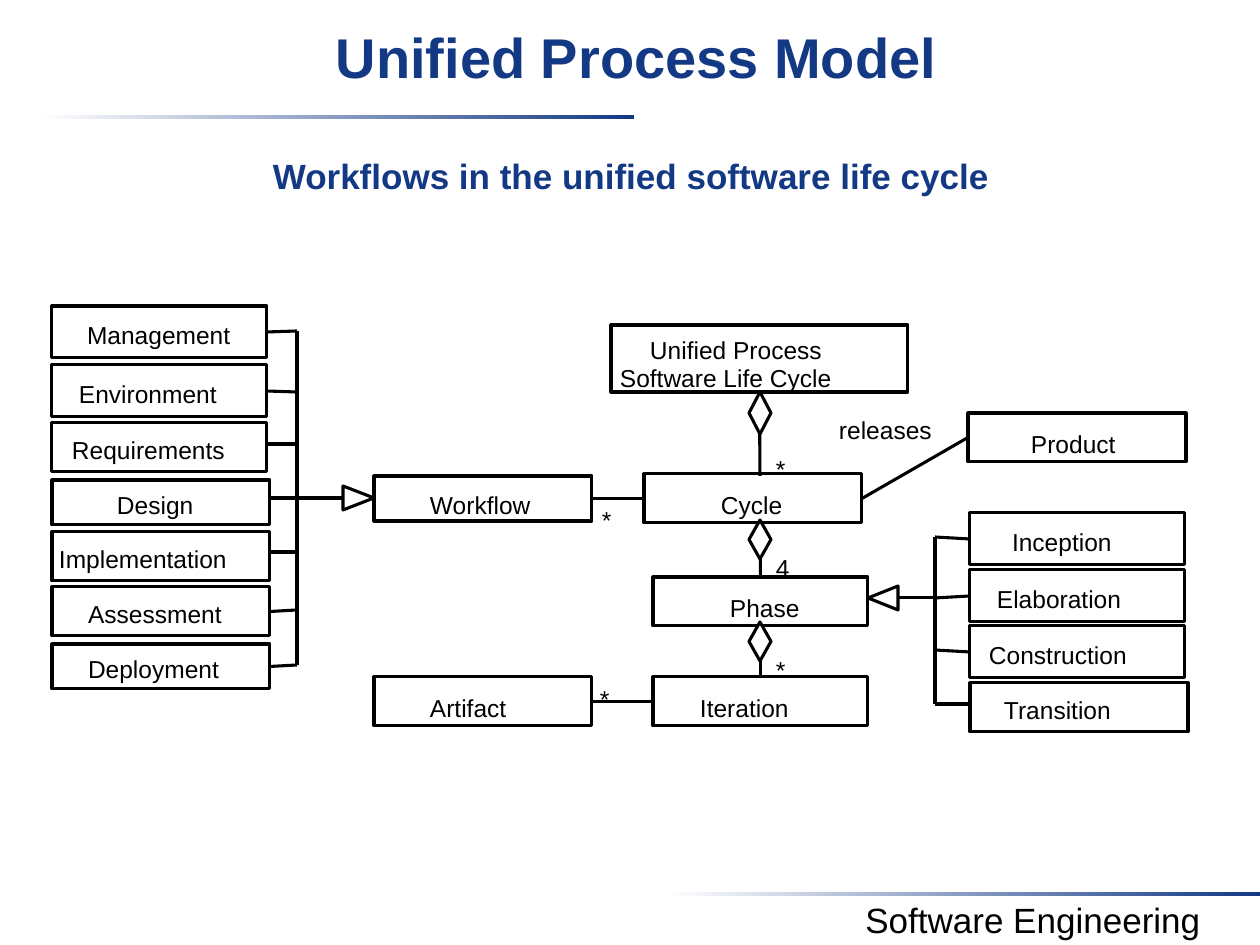
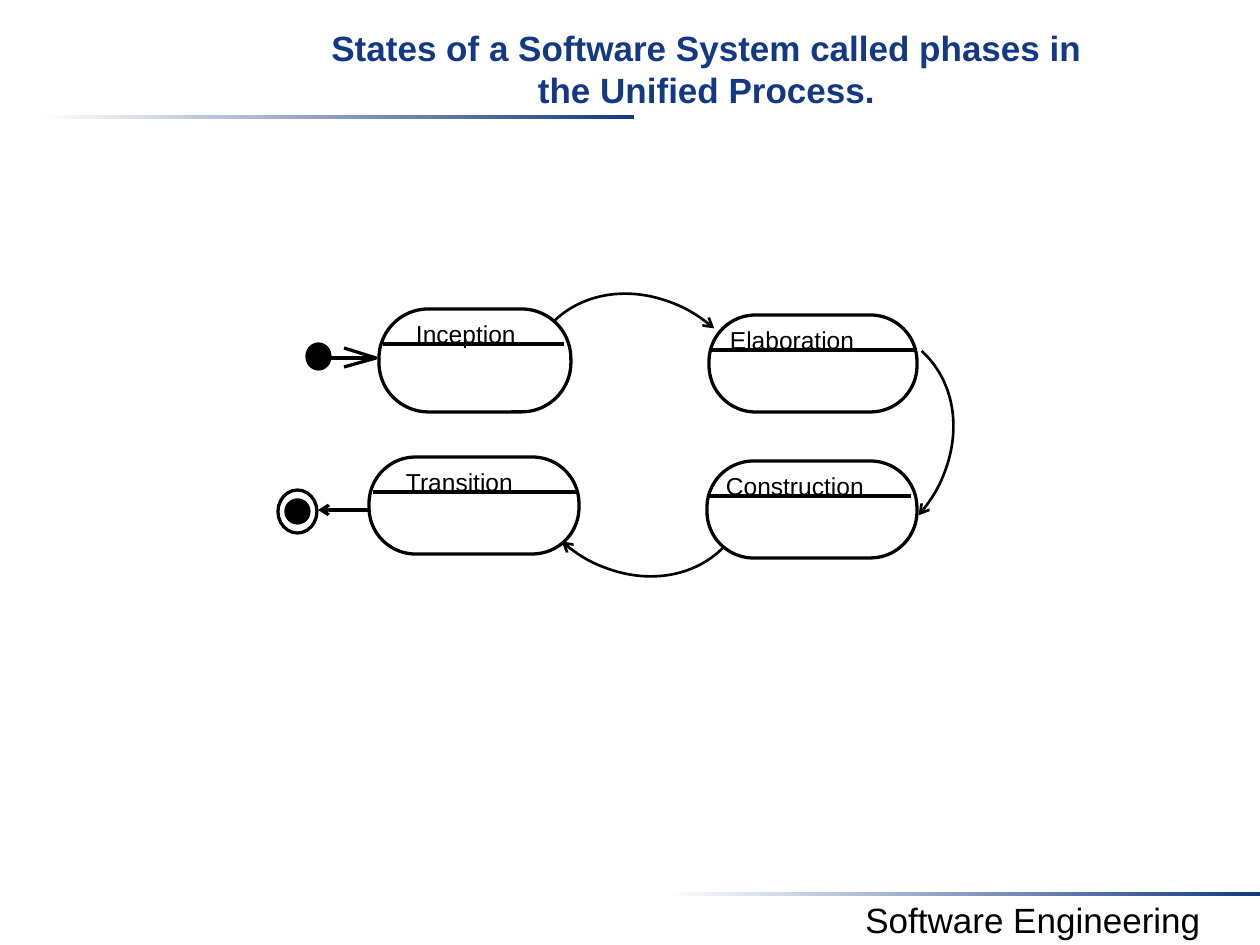
from lxml import etree
from pptx import Presentation
from pptx.dml.color import RGBColor
from pptx.enum.shapes import MSO_CONNECTOR, MSO_SHAPE
from pptx.enum.text import MSO_ANCHOR, PP_ALIGN
from pptx.oxml.ns import qn
from pptx.util import Emu, Pt

RECTANGLE = MSO_SHAPE.RECTANGLE
ROUNDED = MSO_SHAPE.ROUNDED_RECTANGLE
ELLIPSE = MSO_SHAPE.OVAL
DIAMOND = MSO_SHAPE.DIAMOND
ARC = MSO_SHAPE.ARC
STRAIGHT = MSO_CONNECTOR.STRAIGHT
LEFT, CENTER, TOP_ANCHOR = PP_ALIGN.LEFT, PP_ALIGN.CENTER, MSO_ANCHOR.TOP

# Connection sites of a rectangle
TOP, LEFT_SIDE, BOTTOM, RIGHT_SIDE = range(4)

SCALE = 914400 / 126  # EMU per px
COLORS = {"navy": "133984", "black": "000000", "white": "FFFFFF"}
FONT = "Arial"
CLASS_LINE, STATE_LINE, ARC_LINE = 1.75, 1.88, 1.5
LABEL_HEIGHT, LETTER_WIDTH = 24, 14.65

# style: font values, colour, alignment, margins in px (left, top, right, bottom)
TEXT_STYLES = {
    "title": ({"size": Pt(32), "bold": True}, "navy", CENTER, (13, 8, 13, 6)),
    "subtitle": ({"size": Pt(20), "bold": True}, "navy", CENTER, (13, 8, 13, 6)),
    "footer": ({"size": Pt(20), "bold": False}, "black", CENTER, (13, 6, 13, 6)),
    "label": ({"size": Pt(14), "bold": False}, "black", LEFT, (0, 0, 0, 0)),
}

# name, top, width, height, text left, height of the branch line
WORKFLOWS = [
    ("Management", 306, 215, 52, 87, 331),
    ("Environment", 365, 215, 52, 79, 392),
    ("Requirements", 423, 215, 49, 72, 444),
    ("Design", 480, 218, 45, 117, 498),
    ("Implementation", 532, 218, 49, 59, 552),
    ("Assessment", 587, 218, 49, 88, 610),
    ("Deployment", 644, 218, 45, 88, 665),
]
PHASES = [
    ("Inception", 513, 215, 52, 1012, 537),
    ("Elaboration", 570, 215, 52, 997, 598),
    ("Construction", 626, 215, 52, 989, 650),
    ("Transition", 683, 218, 49, 1004, 704),
]
# name, box, text left
CLASSES = [
    ("Workflow", (374, 476, 218, 45), 430),
    ("Artifact", (374, 677, 218, 49), 430),
    ("Cycle", (644, 474, 218, 49), 721),
    ("Phase", (653, 577, 215, 49), 730),
    ("Iteration", (653, 677, 215, 49), 700),
    ("Product", (968, 413, 218, 49), 1031),
]
# name, box, divider from and to, text left
STATES = [
    ("Inception", (379, 309, 192, 103), (383, 564), 416),
    ("Elaboration", (709, 315, 208, 97), (709, 917), 730),
    ("Construction", (707, 461, 210, 97), (707, 911), 726),
    ("Transition", (369, 457, 210, 97), (373, 577), 406),
]
# centre, rotation, start angle
TRANSITIONS = [
    ((645, 414), 315, 270),
    ((833, 446), 45, 268),
    ((631, 456), 135, 270),
]


def px(value):
    return Emu(round(value * SCALE))


def color(name):
    return RGBColor.from_string(COLORS[name])


# Basic elements
def paint(shape, fill=None, line_width=None):
    shape.shadow.inherit = False
    if fill:
        shape.fill.solid()
        shape.fill.fore_color.rgb = color(fill)
    else:
        shape.fill.background()
    if line_width:
        shape.line.color.rgb = color("black")
        shape.line.width = Pt(line_width)
    else:
        shape.line.fill.background()
    return shape


def add_shape(slide, kind, box, fill=None, line_width=CLASS_LINE):
    return paint(slide.shapes.add_shape(kind, *map(px, box)), fill, line_width)


def add_outline(slide, points, closed=True, fill=None, line_width=CLASS_LINE):
    builder = slide.shapes.build_freeform(*points[0], scale=SCALE)
    builder.add_line_segments(points[1:], close=closed)
    return paint(builder.convert_to_shape(), fill, line_width)


def add_arrowhead(shape):
    etree.SubElement(shape.line._get_or_add_ln(), qn("a:tailEnd"), type="arrow")


def add_line(slide, start, end, width=CLASS_LINE, begin_at=None, end_at=None):
    """begin_at and end_at are (shape, site) pairs to join."""
    line = slide.shapes.add_connector(STRAIGHT, *map(px, (*start, *end)))
    line.line.color.rgb = color("black")
    line.line.width = Pt(width)
    etree.SubElement(line._element.spPr, qn("a:effectLst"))
    if begin_at:
        line.begin_connect(*begin_at)
    if end_at:
        line.end_connect(*end_at)
    return line


def add_text(slide, box, text, style):
    font_values, color_name, alignment, margins = TEXT_STYLES[style]
    frame = slide.shapes.add_textbox(*map(px, box)).text_frame
    frame.word_wrap = True
    frame.vertical_anchor = TOP_ANCHOR
    for side, margin in zip(("left", "top", "right", "bottom"), margins):
        setattr(frame, f"margin_{side}", px(margin))
    paragraph = frame.paragraphs[0]
    paragraph.alignment = alignment
    run = paragraph.add_run()
    run.text = text
    run.font.name = FONT
    run.font.color.rgb = color(color_name)
    for attribute, value in font_values.items():
        setattr(run.font, attribute, value)


def add_label(slide, left, top, text):
    width = round(LETTER_WIDTH * len(text))
    add_text(slide, (left, top, width, LABEL_HEIGHT), text, "label")


# Shared frame of the slides
def add_band(slide, left, top):
    band = add_shape(slide, RECTANGLE, (left, top, 595, 4), "white", None)
    band.fill.gradient()
    band.fill.gradient_angle = 0
    for stop, name in zip(band.fill.gradient_stops, ("white", "navy")):
        stop.color.rgb = color(name)


def add_framed_slide(presentation):
    slide = presentation.slides.add_slide(presentation.slide_layouts[6])
    add_band(slide, 39, 115)
    add_band(slide, 665, 892)
    add_text(slide, (806, 892, 454, 55), "Software Engineering", "footer")
    return slide


# Class diagram parts
def add_class(slide, name, box, text_left, drop=0):
    shape = add_shape(slide, RECTANGLE, box)
    add_label(slide, text_left, box[1] + (box[3] - LABEL_HEIGHT) // 2 + drop, name)
    return shape


def add_subclasses(slide, rows, left, trunk, side):
    for name, top, width, height, text_left, branch in rows:
        shape = add_class(slide, name, (left, top, width, height), text_left)
        edge = left + width if side == RIGHT_SIDE else left
        in_middle = abs(branch - top - height / 2) <= 2
        add_line(slide, (edge, branch), (trunk, branch),
                 begin_at=(shape, side) if in_middle else None)
    add_line(slide, (trunk, rows[0][-1]), (trunk, rows[-1][-1]))


def add_inheritance(slide, trunk, base, tip, middle):
    add_line(slide, (trunk, middle), (base, middle))
    add_outline(slide, [(tip, middle), (base, middle - 12), (base, middle + 12)],
                fill="white")


def add_aggregation(slide, top, bottom, height, count, begin_at=None, end_at=None):
    add_line(slide, (760, top), (760, bottom), begin_at=begin_at, end_at=end_at)
    add_shape(slide, DIAMOND, (749, top, 22, height), "white")
    add_label(slide, 776, bottom - 22, count)


def build_process_model(presentation):
    slide = add_framed_slide(presentation)
    add_text(slide, (52, 15, 1169, 95), "Unified Process Model", "title")
    add_text(slide, (23, 147, 1216, 95),
             "Workflows in the unified software life cycle", "subtitle")

    # Classes
    classes = {name: add_class(slide, name, box, text_left, drop=4)
               for name, box, text_left in CLASSES}
    life_cycle = add_shape(slide, RECTANGLE, (611, 325, 297, 67))
    add_label(slide, 650, 335, "Unified Process")
    add_label(slide, 620, 363, "Software Life Cycle")

    # Subclasses
    add_subclasses(slide, WORKFLOWS, 52, 297, RIGHT_SIDE)
    add_inheritance(slide, 297, 343, 374, 498)
    add_subclasses(slide, PHASES, 970, 935, LEFT_SIDE)
    add_inheritance(slide, 935, 898, 868, 598)

    # Aggregations
    phase_top, phase_bottom = (classes["Phase"], TOP), (classes["Phase"], BOTTOM)
    add_aggregation(slide, 392, 476, 42, "*", begin_at=(life_cycle, BOTTOM))
    add_aggregation(slide, 520, 575, 39, "4", end_at=phase_top)
    add_aggregation(slide, 622, 677, 39, "*", phase_bottom,
                    (classes["Iteration"], TOP))

    # Associations
    for first, second, start, end in [
        ("Workflow", "Cycle", (592, 498), (644, 498)),
        ("Artifact", "Iteration", (592, 698), (653, 698)),
        ("Cycle", "Product", (862, 498), (968, 437)),
    ]:
        add_line(slide, start, end, begin_at=(classes[first], RIGHT_SIDE),
                 end_at=(classes[second], LEFT_SIDE))
    add_label(slide, 602, 505, "*")
    add_label(slide, 600, 684, "*")
    add_label(slide, 839, 415, "releases")


# State diagram parts
def add_state(slide, name, box, divider, text_left):
    add_shape(slide, ROUNDED, box, line_width=STATE_LINE).adjustments[0] = 0.48
    divider_top = box[1] + 35
    add_line(slide, (divider[0], divider_top), (divider[1], divider_top), STATE_LINE)
    add_label(slide, text_left, box[1] + 10, name)


def add_transition(slide, center, rotation, start_angle):
    radius_x, radius_y = 110, 130
    box = (center[0] - radius_x, center[1] - radius_y, 2 * radius_x, 2 * radius_y)
    arc = add_shape(slide, ARC, box, line_width=ARC_LINE)
    for index, angle in enumerate((start_angle, 354)):
        arc.adjustments[index] = angle * 0.6  # 60000 units per degree
    arc.rotation = rotation
    add_arrowhead(arc)


def build_phase_states(presentation):
    slide = add_framed_slide(presentation)
    add_text(slide, (300, 18, 813, 95),
             "States of a Software System called phases in the Unified Process.",
             "subtitle")
    for state in STATES:
        add_state(slide, *state)
    for transition in TRANSITIONS:
        add_transition(slide, *transition)

    # Start marker
    add_shape(slide, ELLIPSE, (307, 344, 23, 25), "black", STATE_LINE)
    add_line(slide, (321, 358), (376, 358), STATE_LINE)
    add_outline(slide, [(344, 348), (376, 358), (344, 367)], closed=False,
                line_width=STATE_LINE)

    # End marker
    add_shape(slide, ELLIPSE, (286, 500, 23, 23), "black", STATE_LINE)
    add_shape(slide, ELLIPSE, (278, 490, 39, 43), line_width=STATE_LINE)
    add_arrowhead(add_line(slide, (369, 510), (318, 510), STATE_LINE))


def main():
    presentation = Presentation()
    presentation.slide_width, presentation.slide_height = px(1260), px(945)
    build_process_model(presentation)
    build_phase_states(presentation)
    presentation.save("out.pptx")


if __name__ == "__main__":
    main()
